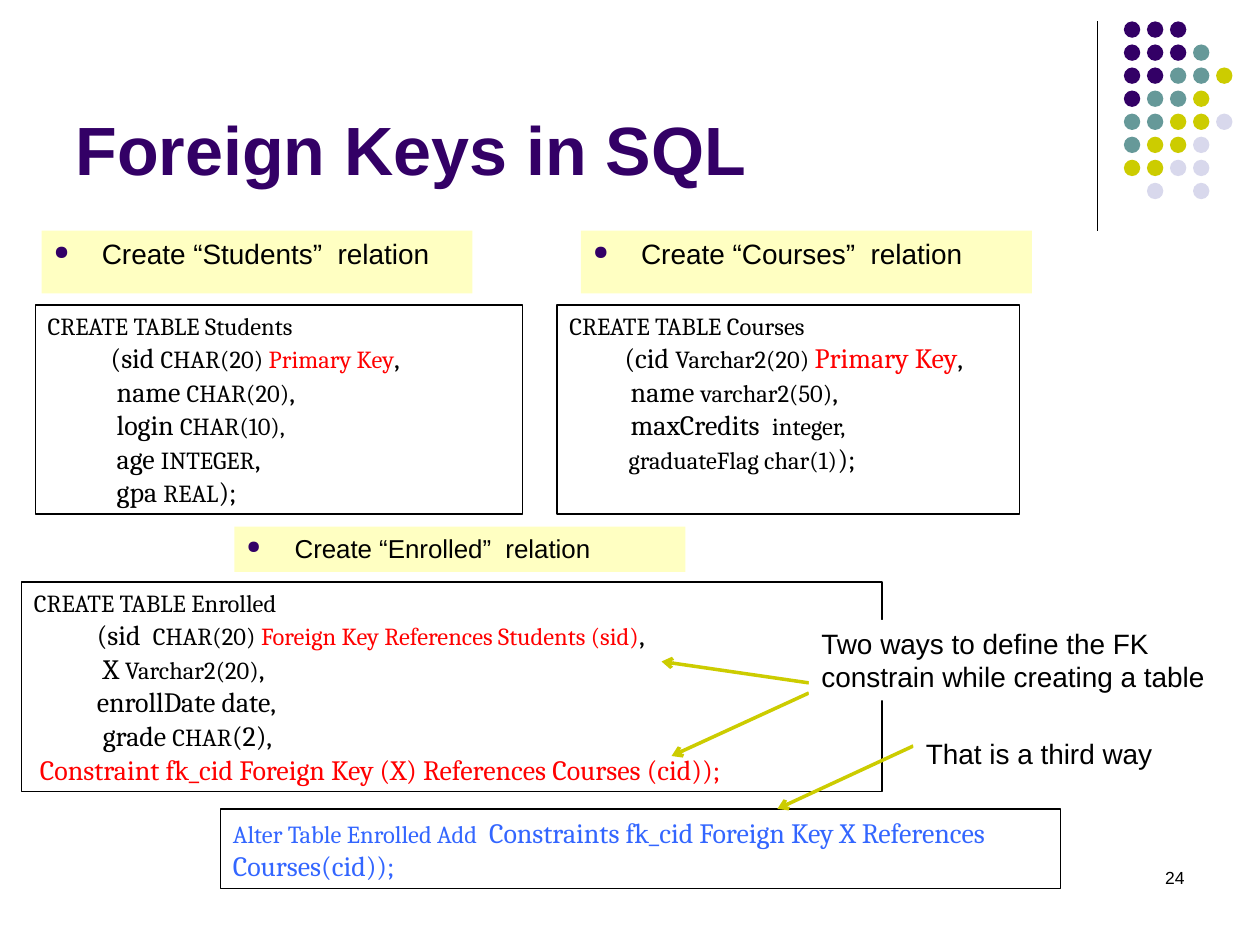
from lxml import etree
from pptx import Presentation
from pptx.dml.color import RGBColor
from pptx.enum.shapes import MSO_CONNECTOR, MSO_SHAPE
from pptx.enum.text import MSO_ANCHOR, PP_ALIGN
from pptx.oxml.ns import qn
from pptx.util import Inches, Pt

RECT, OVAL = MSO_SHAPE.RECTANGLE, MSO_SHAPE.OVAL
STRAIGHT = MSO_CONNECTOR.STRAIGHT
TOP, BOTTOM = MSO_ANCHOR.TOP, MSO_ANCHOR.BOTTOM
LEFT, RIGHT = PP_ALIGN.LEFT, PP_ALIGN.RIGHT

BLACK = RGBColor(0x00, 0x00, 0x00)
WHITE = RGBColor(0xFF, 0xFF, 0xFF)
RED = RGBColor(0xFF, 0x00, 0x00)
BLUE = RGBColor(0x33, 0x66, 0xFF)
PURPLE = RGBColor(0x33, 0x00, 0x66)
TEAL = RGBColor(0x66, 0x99, 0x99)
OLIVE = RGBColor(0xCC, 0xCC, 0x00)
LAVENDER = RGBColor(0xD8, 0xD8, 0xEC)
YELLOW = RGBColor(0xFF, 0xFF, 0xC2)

DOT_COLORS = {"P": PURPLE, "T": TEAL, "O": OLIVE, "L": LAVENDER}
DOT_ROWS = ["PPP", "PPPT", "PPTTO", "PTTO", "TTOOL", "TOOL", "OOLL", " L L"]
DOT_LEFT, DOT_TOP, DOT_SIZE, DOT_PITCH = 8.92, 0.17, 0.13, 0.183

# Box, font size, text
HEADINGS = [
    ((0.33, 1.83, 3.42, 0.5), 16, "Create “Students”  relation"),
    ((4.61, 1.83, 3.58, 0.5), 16, "Create “Courses”  relation"),
    ((1.86, 4.18, 3.58, 0.36), 14.8, "Create “Enrolled”  relation"),
]

# Box, then lines made of (text, size[, color]) runs
STATEMENTS = [
    ((0.28, 2.42, 3.87, 1.66), [
        [("CREATE TABLE Students", 14)],
        [("\t(sid ", 16), ("CHAR(20) ", 14), ("Primary Key", 14, RED), (",", 16)],
        [("\t name ", 16), ("CHAR(20)", 14), (",", 16)],
        [("\t login ", 16), ("CHAR(10),", 14)],
        [("\t age ", 16), ("INTEGER", 14), (",", 16)],
        [("\t gpa ", 16), ("REAL", 14), (");", 16)],
    ]),
    ((4.42, 2.42, 3.67, 1.66), [
        [("CREATE TABLE Courses", 14)],
        [("         (cid ", 16), ("Varchar2(20) ", 14), ("Primary Key", 16, RED), (",", 16)],
        [("          name ", 16), ("varchar2(50)", 14), (",", 16)],
        [("          maxCredits  ", 16), ("integer,", 14)],
        [("           graduateFlag char(1)", 14), (");", 16)],
    ]),
    ((0.17, 4.62, 6.83, 1.66), [
        [("CREATE TABLE Enrolled", 14)],
        [("\t(sid  ", 16), ("CHAR(20) ", 14),
         ("Foreign Key References Students (sid)", 14, RED), (",", 16)],
        [("\t X ", 16), ("Varchar2(20)", 14), (",", 16)],
        [("\tenrollDate date,", 16)],
        [("\t grade ", 16), ("CHAR", 14), ("(2),", 16)],
        [(" Constraint fk_cid Foreign Key (X) References Courses (cid));", 16, RED)],
    ]),
    ((1.75, 6.42, 6.67, 0.63), [
        [("Alter Table Enrolled Add ", 14, BLUE),
         (" Constraints fk_cid Foreign Key X References Courses(cid));", 16, BLUE)],
    ]),
]

ARROWS = [
    ((6.42, 5.42), (5.25, 5.25)),
    ((6.42, 5.5), (5.33, 6)),
    ((7.25, 5.92), (6.17, 6.42)),
]
NOTES = [
    ((6.42, 4.92, 3.25, 0.64), "Two ways to define the FK constrain while creating a table"),
    ((7.25, 5.8, 2.17, 0.37), "That is a third way"),
]


def add_shape(s, kind, box, fill=None, line=None):
    sp = s.shapes.add_shape(kind, *map(Inches, box))
    sp.shadow.inherit = False
    if fill is None:
        sp.fill.background()
    else:
        sp.fill.solid()
        sp.fill.fore_color.rgb = fill
    if line is None:
        sp.line.fill.background()
    else:
        sp.line.color.rgb = line
        sp.line.width = Pt(0.75)
    return sp


def add_bullet(p):
    pPr = p._p.get_or_add_pPr()
    pPr.set("marL", str(Inches(0.38)))
    pPr.set("indent", str(-Inches(0.38)))
    color = etree.SubElement(pPr, qn("a:buClr"))
    etree.SubElement(color, qn("a:srgbClr"), val=str(PURPLE))
    etree.SubElement(pPr, qn("a:buSzPct"), val="70000")
    etree.SubElement(pPr, qn("a:buChar"), char="●")


def write(sp, lines, font="Arial", color=BLACK, bold=False, align=LEFT,
          anchor=TOP, bullet=False):
    """Fill a shape with lines of (text, size[, color]) runs."""
    tf = sp.text_frame
    tf.word_wrap = True
    tf.vertical_anchor = anchor
    for i, runs in enumerate(lines):
        p = tf.add_paragraph() if i else tf.paragraphs[0]
        p.alignment = align
        if bullet:
            add_bullet(p)
        for text, size, *own_color in runs:
            r = p.add_run()
            r.text = text
            r.font.name = font
            r.font.size = Pt(size)
            r.font.bold = bold
            r.font.color.rgb = own_color[0] if own_color else color


def add_line(s, start, end, color, width, arrow=False):
    line = s.shapes.add_connector(STRAIGHT, *map(Inches, start + end))
    line.line.color.rgb = color
    line.line.width = Pt(width)
    if arrow:
        etree.SubElement(line.line._get_or_add_ln(), qn("a:tailEnd"), type="arrow")
    etree.SubElement(line._element.spPr, qn("a:effectLst"))


def add_dots(s):
    for row, codes in enumerate(DOT_ROWS):
        for col, code in enumerate(codes):
            if code in DOT_COLORS:
                box = (DOT_LEFT + col * DOT_PITCH, DOT_TOP + row * DOT_PITCH,
                       DOT_SIZE, DOT_SIZE)
                add_shape(s, OVAL, box, fill=DOT_COLORS[code])


def main():
    prs = Presentation()
    prs.slide_width, prs.slide_height = Inches(10), Inches(7.5)
    s = prs.slides.add_slide(prs.slide_layouts[6])

    add_line(s, (8.71, 0.17), (8.71, 1.83), BLACK, 0.75)
    add_dots(s)

    title = s.shapes.add_textbox(*map(Inches, (0.5, 0.13, 8.25, 1.42)))
    write(title, [[("Foreign Keys in SQL", 39)]], color=PURPLE, bold=True, anchor=BOTTOM)
    number = s.shapes.add_textbox(*map(Inches, (7.17, 6.83, 2.33, 0.5)))
    write(number, [[("24", 10)]], align=RIGHT)

    for box, size, text in HEADINGS:
        write(add_shape(s, RECT, box, fill=YELLOW), [[(text, size)]], bullet=True)
    for box, lines in STATEMENTS:
        write(add_shape(s, RECT, box, line=BLACK), lines, font="Cambria")
    for start, end in ARROWS:
        add_line(s, start, end, OLIVE, 2, arrow=True)
    for box, text in NOTES:
        write(add_shape(s, RECT, box, fill=WHITE), [[(text, 16)]])

    prs.save("out.pptx")


if __name__ == "__main__":
    main()
